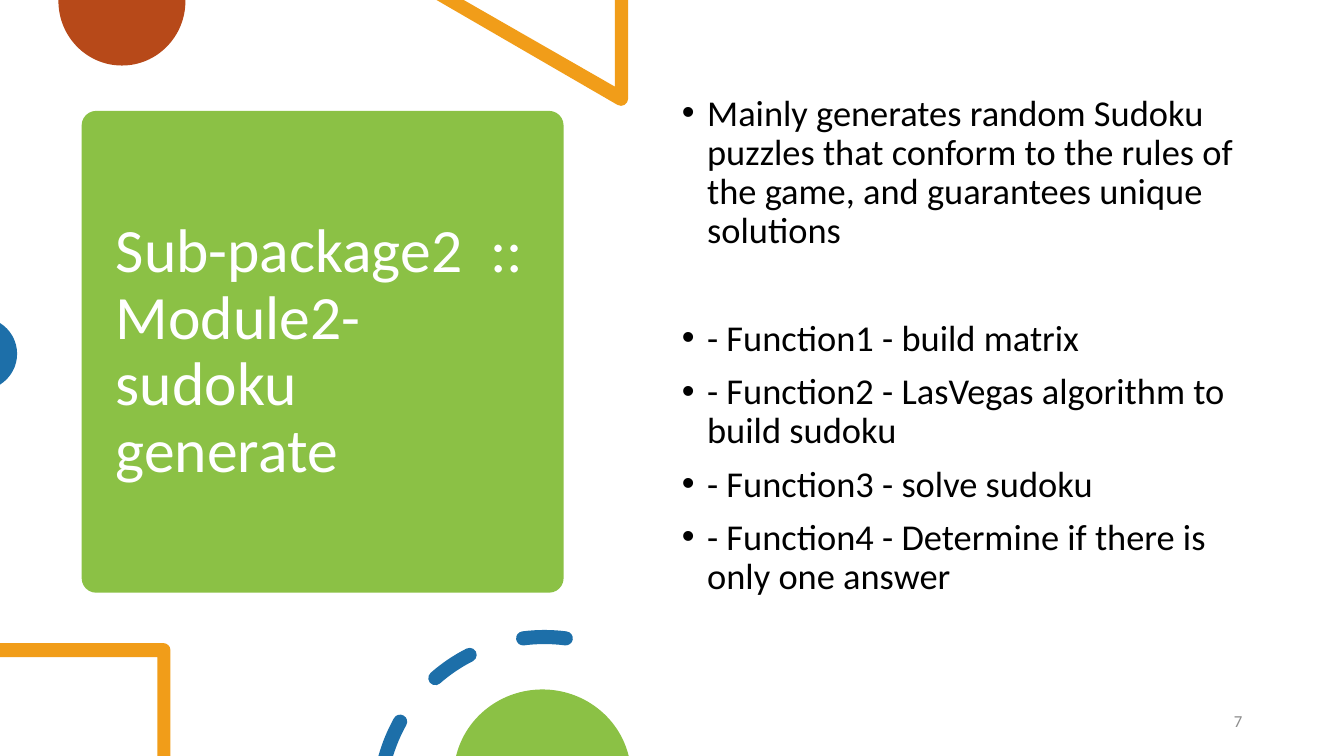
from math import ceil, cos, radians, sin, tan
from lxml.etree import SubElement
from pptx import Presentation
from pptx.dml.color import RGBColor
from pptx.enum.shapes import MSO_SHAPE
from pptx.enum.text import MSO_ANCHOR, PP_ALIGN
from pptx.oxml.ns import qn
from pptx.util import Inches, Pt

WHITE = RGBColor(0xFF, 0xFF, 0xFF)
BLACK = RGBColor(0, 0, 0)
GRAY = RGBColor(0x8C, 0x8C, 0x8C)
GREEN = RGBColor(0x8B, 0xC1, 0x45)
RUST = RGBColor(0xB7, 0x49, 0x19)
GOLD = RGBColor(0xF1, 0x9D, 0x19)
BLUE = RGBColor(0x1D, 0x6F, 0xA9)

TITLE = "Sub-package2  :: Module2-sudoku generate"
INTRO = "Mainly generates random Sudoku puzzles that conform to the rules of the game, and guarantees unique solutions"
TASKS = [
    "- Function1 - build matrix",
    "- Function2 - LasVegas algorithm to build sudoku",
    "- Function3 - solve sudoku",
    "- Function4 - Determine if there is only one answer",
]
PAGE = "7"
WIDE, HIGH = 13.33, 7.5
CARD = (0.81, 1.1, 4.78, 4.78)
HEAD = (1.05, 1.22, 4.31, 4.56)
BODY = (WIDE / 2, 0.89, 5.75, 5.35)
FOOT = (11.49, 6.95, 0.93, 0.4)
RING = (5.4, 7.96, 1.64)
HALF = 0.07


def dots(*points):
    return [(point,) for point in points]


def arc(x, y, rx, ry, start, end, lead=True):
    count = ceil(abs(end - start) / 90)
    step = radians(end - start) / count
    pull = 4 / 3 * tan(step / 4)

    def spot(turn, lean=0):
        return (x + rx * (cos(turn) - lean * sin(turn)),
                y + ry * (sin(turn) + lean * cos(turn)))

    turns = [radians(start) + step * i for i in range(count + 1)]
    curves = [(spot(a, pull), spot(b, -pull), spot(b)) for a, b in zip(turns, turns[1:])]
    return dots(spot(turns[0])) * lead + curves


def dash(start, end, back=None):
    x, y, r = RING

    def cap(turn, first):
        mid = x + r * cos(radians(turn)), y + r * sin(radians(turn))
        return arc(*mid, HALF, HALF, first, first + 180, lead=False)

    rim = arc(x, y, r + HALF, r + HALF, start, end)
    core = arc(x, y, r - HALF, r - HALF, end, back or start, lead=False)
    return rim + cap(end, end) + core + ([] if back else cap(start, start + 180))


SHAPES = [
    (RUST, [dots((1.84, 0)) + arc(1.21, 0.01, 0.63, 0.64, 0, 180) + dots((0.58, 0))]),
    (GOLD, [dots((6.23, 0)) + arc(6.16, 0.98, 0.07, 0.07, 0, 120)
            + dots((4.33, 0), (4.6, 0), (6.1, 0.86), (6.1, 0))]),
    (BLUE, [arc(-0.19, 3.51, 0.36, 0.36, -58, 58)]),
    (GOLD, [dots((0, 6.38)) + arc(1.62, 6.45, HALF, HALF, 270, 360)
            + dots((1.69, HIGH), (1.56, HIGH), (1.56, 6.52), (0, 6.52))]),
    (BLUE, [dash(195.6, 209.2, back=197), dash(228.7, 243.1), dash(262.6, 277.4)]),
    (GREEN, [arc(5.38, 7.7, 0.88, 0.86, 193.45, 346.55)]),
]


def paint(shape, color):
    shape.shadow.inherit = False
    shape.fill.solid()
    shape.fill.fore_color.rgb = color
    shape.line.fill.background()


def outline(slide, color, loops):
    pen = None
    for loop in loops:
        first, *rest = [(Inches(x), Inches(y)) for part in loop for x, y in part]
        if pen:
            pen.move_to(*first)
        else:
            pen = slide.shapes.build_freeform(*first)
        pen.add_line_segments(rest, close=True)
    shape = pen.convert_to_shape()
    lines = iter(shape._element.findall(".//" + qn("a:lnTo")))
    for part in [part for loop in loops for part in loop[1:]]:
        line = next(lines)
        if len(part) == 3:
            line.tag = qn("a:cubicBezTo")
            for extra in (next(lines), next(lines)):
                line.append(extra[0])
                extra.getparent().remove(extra)
    paint(shape, color)


def write(slide, place, lines, size, color, anchor=MSO_ANCHOR.MIDDLE,
          align=PP_ALIGN.LEFT, space=1, before=None, after=0, bullet=None):
    frame = slide.shapes.add_textbox(*map(Inches, place)).text_frame
    frame.word_wrap = True
    frame.vertical_anchor = anchor
    for i, line in enumerate(lines):
        para = frame.paragraphs[0] if i == 0 else frame.add_paragraph()
        para.alignment = align
        para.line_spacing = space
        para.space_before = Pt(before[i] if before else 0)
        para.space_after = Pt(after)
        run = para.add_run()
        run.text = line
        run.font.name = "Calibri"
        run.font.size = Pt(size)
        run.font.color.rgb = color
        if bullet:
            props = para._p.get_or_add_pPr()
            props.set("marL", str(Inches(0.25)))
            props.set("indent", str(-Inches(0.25)))
            SubElement(props, qn("a:buFont"), typeface="Arial")
            SubElement(props, qn("a:buChar"), char=bullet)


def main():
    deck = Presentation()
    deck.slide_width, deck.slide_height = Inches(WIDE), Inches(HIGH)
    slide = deck.slides.add_slide(deck.slide_layouts[6])
    card = slide.shapes.add_shape(MSO_SHAPE.ROUNDED_RECTANGLE, *map(Inches, CARD))
    card.adjustments[0] = 0.03
    paint(card, GREEN)
    write(slide, HEAD, [TITLE], 44, WHITE, space=0.9)
    for color, loops in SHAPES:
        outline(slide, color, loops)
    write(slide, BODY, [INTRO] + TASKS, 26, BLACK, anchor=MSO_ANCHOR.TOP,
          space=0.9, before=[10, 48.5, 10, 10, 10], bullet="•")
    write(slide, FOOT, [PAGE], 12, GRAY, align=PP_ALIGN.RIGHT, after=6)
    deck.save("out.pptx")


if __name__ == "__main__":
    main()
